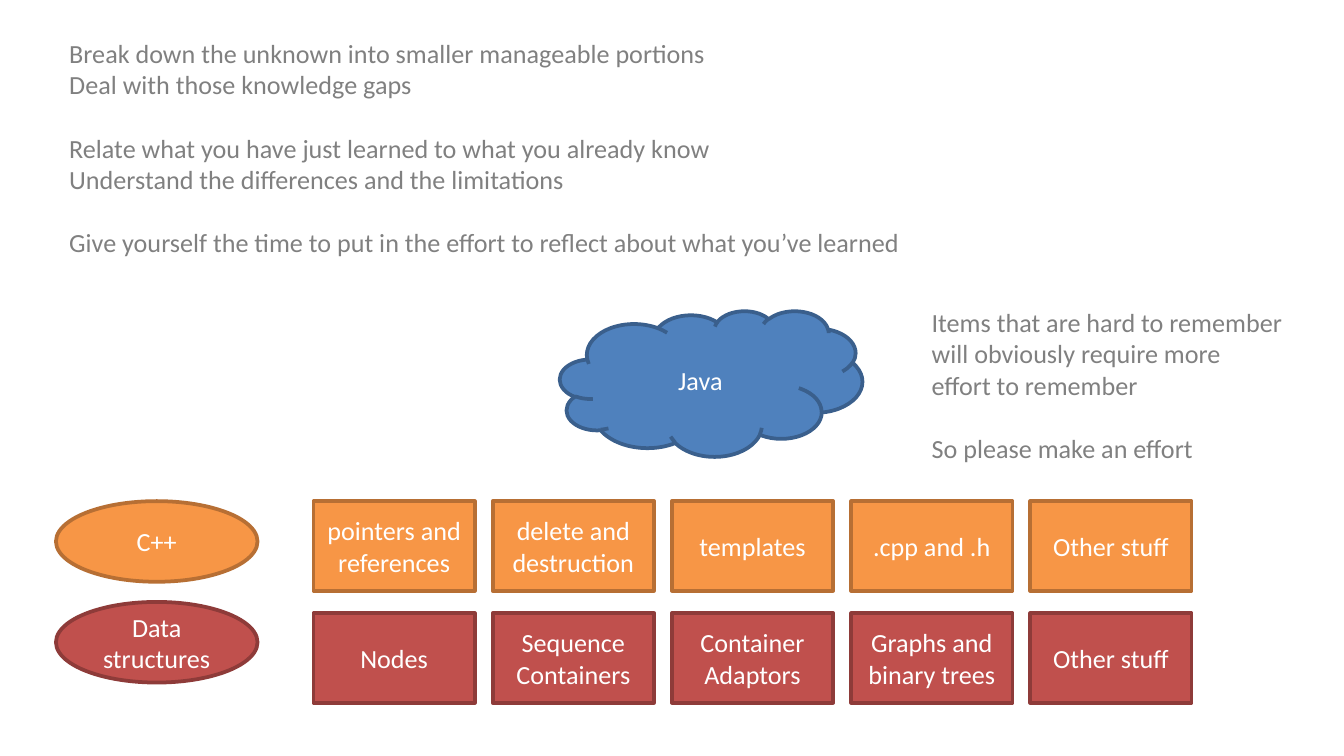
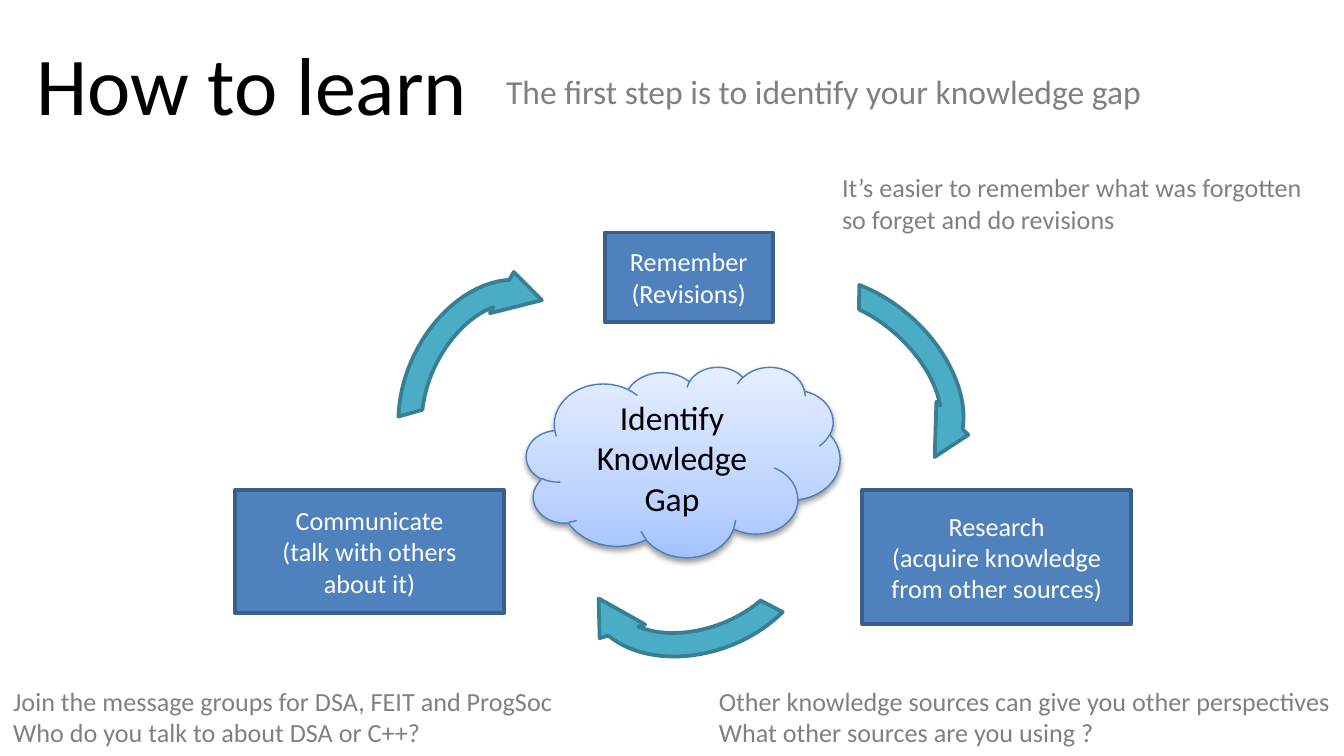
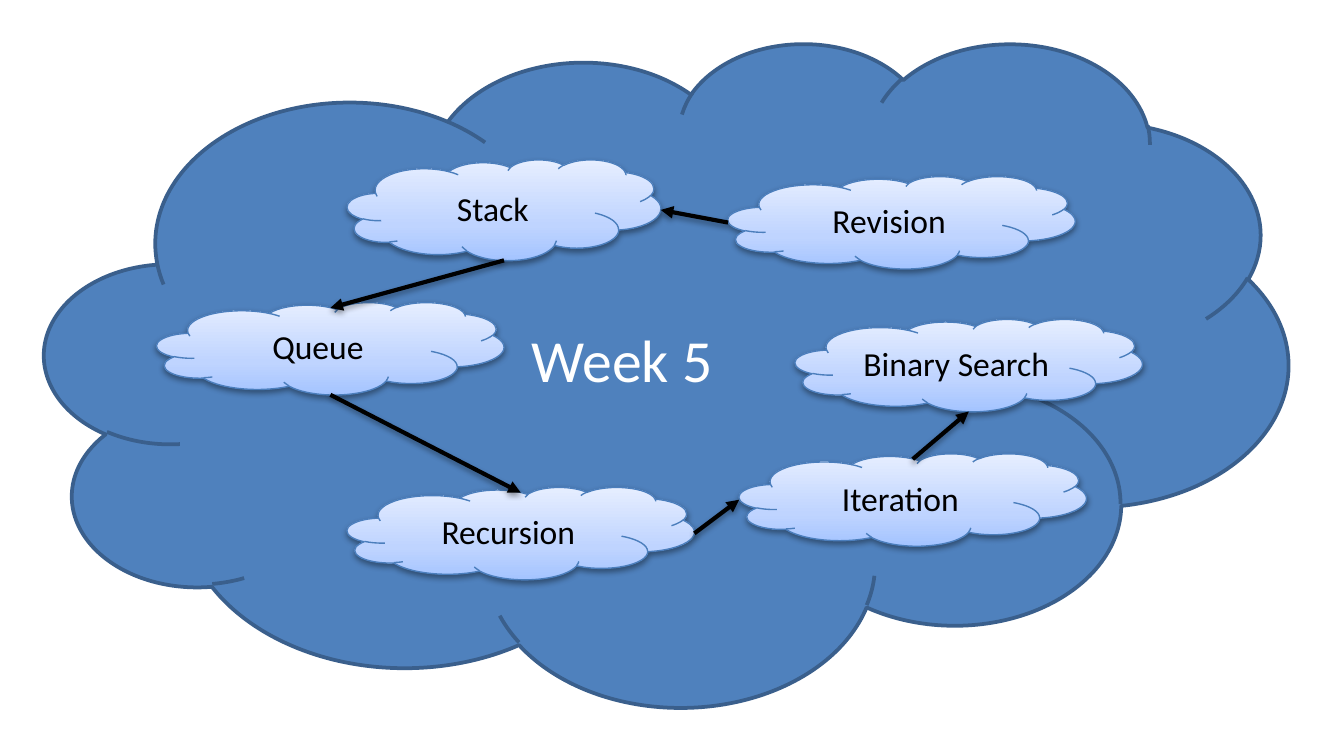
"""Build three slides on how to learn: linking topics, the learning cycle and the week's map."""
from dataclasses import dataclass

from pptx import Presentation
from pptx.dml.color import RGBColor
from pptx.enum.shapes import MSO_CONNECTOR, MSO_SHAPE
from pptx.enum.text import MSO_ANCHOR, MSO_AUTO_SIZE, PP_ALIGN
from pptx.oxml import parse_xml
from pptx.oxml.ns import nsdecls, qn
from pptx.util import Inches, Pt


@dataclass(frozen=True)
class Theme:
    """Colours as fill and outline pairs, font and type sizes."""
    font: str = "Calibri"
    black: str = "000000"
    white: str = "FFFFFF"
    grey: str = "808080"
    blue: tuple = ("4F81BD", "3A5F8C")
    orange: tuple = ("F79646", "B76F34")
    red: tuple = ("C0504D", "8E3B39")
    teal: tuple = ("4BACC6", "377F92")
    soft: tuple = (((0, "A4C4FF"), (35, "BFD4FF"), (100, "E6EEFF")), "4B7EBC")
    note: int = 14
    label: int = 18
    headline: int = 32
    title: int = 44


theme = Theme()
deck = Presentation()
deck.slide_width, deck.slide_height = Inches(10), Inches(5.625)
cell = deck.slide_width / 120
BLANK, TITLE_ONLY = deck.slide_layouts[6], deck.slide_layouts[5]
SHADOW = (
    f'<a:effectLst {nsdecls("a")}><a:outerShdw blurRad="40000" dist="20000" dir="5400000" '
    'rotWithShape="0"><a:srgbClr val="000000"><a:alpha val="38000"/></a:srgbClr>'
    '</a:outerShdw></a:effectLst>'
)


def write(box, lines, size, color, align=PP_ALIGN.LEFT, gaps=()):
    """Fill a box with paragraphs, leaving one line free before those in gaps."""
    frame = box.text_frame
    frame.word_wrap = True
    for index, line in enumerate(lines):
        para = frame.paragraphs[0] if index == 0 else frame.add_paragraph()
        para.alignment = align
        if index in gaps:
            para.space_before = Pt(size * 1.22)
        span = para.add_run()
        span.text = line
        for name, value in {"name": theme.font, "size": Pt(size)}.items():
            setattr(span.font, name, value)
        span.font.color.rgb = RGBColor.from_string(color)


def draw(page, kind, cells, look, lines=(), size=theme.note):
    """Draw a labelled shape at left, top, width and height counted in grid cells."""
    shape = page.shapes.add_shape(kind, *(int(cell * count) for count in cells))
    fill, outline = look
    is_soft = look == theme.soft
    if is_soft:
        stops = "".join(f'<a:gs pos="{share * 1000}"><a:srgbClr val="{color}"/></a:gs>'
                        for share, color in fill)
        shape._element.spPr.append(parse_xml(
            f'<a:gradFill {nsdecls("a")} rotWithShape="1"><a:gsLst>{stops}</a:gsLst>'
            '<a:lin ang="16200000" scaled="0"/></a:gradFill>'))
    else:
        shape.fill.solid()
        shape.fill.fore_color.rgb = RGBColor.from_string(fill)
    shape.line.color.rgb = RGBColor.from_string(outline)
    shape.line.width = Pt(0.75 if is_soft else 2)
    if is_soft:
        shape._element.spPr.append(parse_xml(SHADOW))
    else:
        shape.shadow.inherit = False
    shape.text_frame.vertical_anchor = MSO_ANCHOR.MIDDLE
    write(shape, lines, size, theme.black if is_soft else theme.white, PP_ALIGN.CENTER)
    return shape


page = deck.slides.add_slide(BLANK)
draw(page, MSO_SHAPE.CLOUD, (50, 27.75, 27, 13), theme.blue, ["Java"])
topics = [
    ("C++", theme.orange, 44.75, 44.75,
     ["pointers and references", "delete and destruction", "templates", ".cpp and .h", "Other stuff"]),
    ("Data structures", theme.red, 53.75, 54.75,
     ["Nodes", "Sequence Containers", "Container Adaptors", "Graphs and binary trees", "Other stuff"]),
]
for topic, look, oval_row, card_row, cards in topics:
    draw(page, MSO_SHAPE.OVAL, (5, oval_row, 18, 7.2), look, [topic])
    for index, card in enumerate(cards):
        draw(page, MSO_SHAPE.RECTANGLE, (28 + 16 * index, card_row, 14.4, 8), look, [card])
advice_notes = [
    ((5, 2.75, 80, 21),
     ["Break down the unknown into smaller manageable portions", "Deal with those knowledge gaps",
      "Relate what you have just learned to what you already know",
      "Understand the differences and the limitations",
      "Give yourself the time to put in the effort to reflect about what you’ve learned"], (2, 4)),
    ((82, 26.75, 34, 15.4),
     ["Items that are hard to remember will obviously require more effort to remember",
      "So please make an effort"], (1,)),
]
for cells, lines, gaps in advice_notes:
    box = page.shapes.add_textbox(*(int(cell * count) for count in cells))
    write(box, lines, theme.note, theme.grey, gaps=gaps)
    box.text_frame.auto_size = MSO_AUTO_SIZE.SHAPE_TO_FIT_TEXT

page = deck.slides.add_slide(TITLE_ONLY)
title = page.shapes.title
for name, count in {"left": 2, "top": 1.8, "width": 41, "height": 11.25}.items():
    setattr(title, name, int(cell * count))
title.text_frame.vertical_anchor = MSO_ANCHOR.MIDDLE
write(title, ["How to learn"], theme.title, theme.black, PP_ALIGN.CENTER)
draw(page, MSO_SHAPE.CLOUD, (47, 32.75, 28, 17), theme.soft, ["Identify Knowledge Gap"], theme.label)
steps = [
    ((54, 20.75, 15, 8), ["Remember", "(Revisions)"]),
    ((77, 43.75, 24, 12), ["Research", "(acquire knowledge from other sources)"]),
    ((21, 43.75, 24, 11), ["Communicate", "(talk with others about it)"]),
]
for cells, lines in steps:
    draw(page, MSO_SHAPE.RECTANGLE, cells, theme.blue, lines)
turns = [((32.2, 26.4, 23, 17), 296.3), ((64.8, 25.55, 23.75, 16.4), 42.4), ((50.9, 42.25, 23, 17), 159.6)]
for cells, angle in turns:
    arrow = draw(page, MSO_SHAPE.CIRCULAR_ARROW, cells, theme.teal)
    arrow.rotation = angle
    for index, value in enumerate((0.125, 13.68, 204.58, 136.73, 0.125)):
        arrow.adjustments[index] = value
cycle_notes = [
    ((74, 14.75, 46, 6.85), ["It’s easier to remember what was forgotten", "so forget and do revisions"], theme.note),
    ((63, 60.6, 57, 6.85),
     ["Other knowledge sources can give you other perspectives", "What other sources are you using ?"], theme.note),
    ((0, 60.6, 53, 6.85),
     ["Join the message groups for DSA, FEIT and ProgSoc", "Who do you talk to about DSA or C++?"], theme.note),
    ((44, 5.75, 59.9, 4.85), ["The first step is to identify your knowledge gap"], theme.label),
]
for cells, lines, size in cycle_notes:
    box = page.shapes.add_textbox(*(int(cell * count) for count in cells))
    write(box, lines, size, theme.grey)
    box.text_frame.auto_size = MSO_AUTO_SIZE.SHAPE_TO_FIT_TEXT
    box.text_frame.word_wrap = size == theme.note

page = deck.slides.add_slide(BLANK)
draw(page, MSO_SHAPE.CLOUD, (4, 3.75, 111, 59.25), theme.blue, ["Week 5"], theme.headline)
subjects = {
    "Queue": (14, 27, 31, 8.25),
    "Stack": (31, 14.25, 28, 9),
    "Revision": (65, 15.75, 31, 8.25),
    "Recursion": (31, 43.5, 31, 8.25),
    "Iteration": (66, 40.5, 31, 8.25),
    "Binary Search": (71, 28.5, 31, 8.25),
}
for subject, cells in subjects.items():
    draw(page, MSO_SHAPE.CLOUD, cells, theme.soft, [subject], theme.label)
sides = {"top": (0.5, 0.06), "left": (0, 0.5), "bottom": (0.5, 1), "right": (1, 0.5)}
links = [
    ("Revision", "left", "Stack", "right"),
    ("Stack", "bottom", "Queue", "top"),
    ("Queue", "bottom", "Recursion", "top"),
    ("Recursion", "right", "Iteration", "left"),
    ("Iteration", "top", "Binary Search", "bottom"),
]
for start, start_side, end, end_side in links:
    points = []
    for subject, side in ((start, start_side), (end, end_side)):
        left, top, width, height = subjects[subject]
        across, down = sides[side]
        points += [int(cell * (left + across * width)), int(cell * (top + down * height))]
    link = page.shapes.add_connector(MSO_CONNECTOR.STRAIGHT, *points)
    link.line.color.rgb = RGBColor.from_string(theme.black)
    link.line.width = Pt(2.25)
    outline = link._element.spPr.find(qn("a:ln"))
    outline.append(parse_xml(f'<a:tailEnd {nsdecls("a")} type="triangle"/>'))
    link._element.spPr.append(parse_xml(SHADOW))

deck.save("out.pptx")
